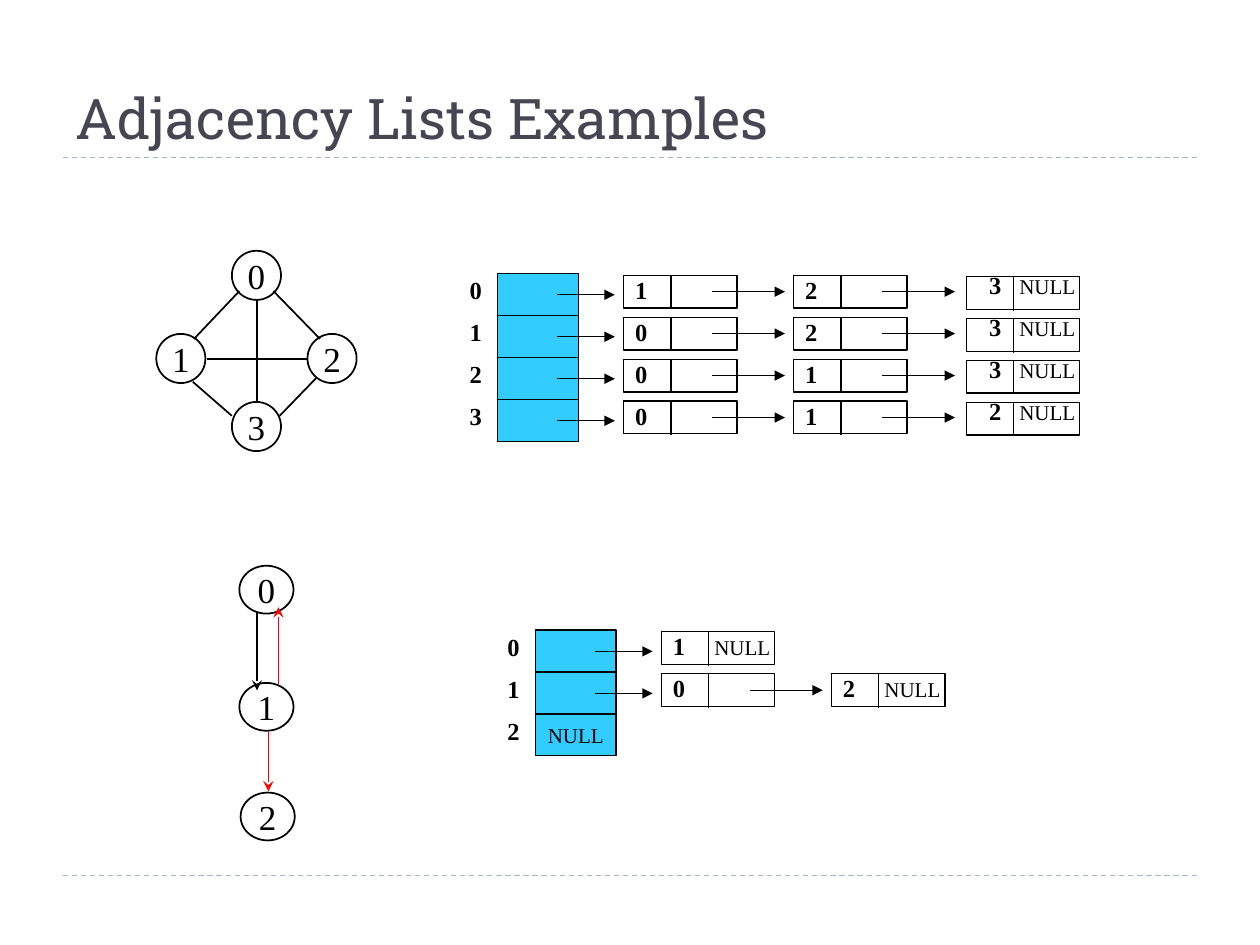
from pptx import Presentation
from pptx import util as u
from pptx.dml.color import RGBColor
from pptx.enum import dml, shapes, text
from pptx.oxml import ns, xmlchemy as xc

COLS, ROWS = 100, 75
STEP = 3.33
FACE = "Times New Roman"
BLACK, RED, SKY, WHITE = "000000", "FF0000", "33CCFF", "FFFFFF"


def grid(*spans):
    """Turn counts of grid columns into lengths."""
    return [u.Inches(10 / COLS * n) for n in spans]


def tint(code):
    """Turn a hex string into a colour."""
    return RGBColor.from_string(code)


def node(tag, **attrs):
    """Make one drawing element with its attributes."""
    part = xc.OxmlElement(tag)
    for key, val in attrs.items():
        part.set(key, str(val))
    return part


def say(par, words, size, bold=False, face=FACE, hue=BLACK):
    """Add one run to a paragraph."""
    run = par.add_run()
    run.text = words
    run.font.name, run.font.size, run.font.bold = face, u.Pt(size), bold
    run.font.color.rgb = tint(hue)


def frame(item, anchor=text.MSO_ANCHOR.MIDDLE, left=0, low=0, align=text.PP_ALIGN.CENTER):
    """Set up a text frame and return its first paragraph."""
    body = item.text_frame
    body.margin_left, body.margin_bottom = grid(left, low)
    body.margin_right = body.margin_top = 0
    body.word_wrap, body.vertical_anchor = True, anchor
    par = body.paragraphs[0]
    par.alignment = align
    return par


def shape(slide, kind, box, fill=None, width=0.75):
    """Add an outlined preset shape."""
    item = slide.shapes.add_shape(kind, *grid(*box))
    item.shadow.inherit = False
    if fill:
        item.fill.solid()
        item.fill.fore_color.rgb = tint(fill)
    else:
        item.fill.background()
    item.line.color.rgb, item.line.width = tint(BLACK), u.Pt(width)
    return item


def line(slide, ends, hue=BLACK, width=0.75, head=None, dash=False):
    """Add a straight line, with an arrowhead or dashes if asked."""
    item = slide.shapes.add_connector(shapes.MSO_CONNECTOR.STRAIGHT, *grid(*ends))
    item.line.color.rgb, item.line.width = tint(hue), u.Pt(width)
    if dash:
        item.line.dash_style = dml.MSO_LINE.DASH
    if head:
        item.line._get_or_add_ln().append(node("a:tailEnd", type=head))
    item._element.spPr.append(node("a:effectLst"))


def header(slide, box):
    """Place the title and the two dashed rules."""
    left, top, wide, high = box
    title = slide.shapes.title
    title.left, title.top, title.width, title.height = grid(*box)
    par = frame(title, text.MSO_ANCHOR.BOTTOM, 1, 0.5, text.PP_ALIGN.LEFT)
    title.text_frame.auto_size = text.MSO_AUTO_SIZE.NONE
    say(par, "Adjacency Lists Examples", 32, face="Roboto Slab", hue="464653")
    for row in (top + high, ROWS - 5.5):
        line(slide, (left, row, left + wide, row), "9FB8CD", dash=True)


def graph(slide, box, size, spots, edges, head=None):
    """Draw numbered circles and the edges between them."""
    left, top = box
    for num, (col, row) in enumerate(spots):
        disc = shape(slide, shapes.MSO_SHAPE.OVAL, (left + col, top + row, *size), WHITE, 1)
        say(frame(disc), str(num), 20)
    for hue, *ends in edges:
        a, b, c, d = ends
        line(slide, (left + a, top + b, left + c, top + d), hue, 1, head)


def link(slide, box, name, last, pad=0.9, low=0.3):
    """Draw one list node, with its pointer or NULL."""
    left, top = box
    item = shape(slide, shapes.MSO_SHAPE.RECTANGLE, (left, top, 9, 2.6))
    par = frame(item, text.MSO_ANCHOR.BOTTOM, pad, low, text.PP_ALIGN.LEFT)
    if last:
        tabs = node("a:tabLst")
        tabs.append(node("a:tab", pos=grid(4.2 - pad)[0], algn="l"))
        par._p.get_or_add_pPr().append(tabs)
    say(par, name, 14, True)
    line(slide, (left + 3.75, top, left + 3.75, top + 2.7))
    if last:
        say(par, "\tNULL", 12)
    else:
        line(slide, (left + 7, top + 1.3, left + 12.8, top + 1.3), head="triangle")


def lists(slide, box, chains, shift=(0, 0), pads=(0.9, 0.3)):
    """Draw the head cells, their labels and the linked nodes."""
    left, top = box
    for num, chain in enumerate(chains):
        row = top + num * STEP
        cell = shape(slide, shapes.MSO_SHAPE.RECTANGLE, (left, row, 6.4, STEP), SKY)
        mark = slide.shapes.add_textbox(*grid(left - 3, row + 0.1, 2.5, 2.4))
        say(frame(mark), str(num), 14, True)
        if chain:
            line(slide, (left + 4.7, row + 1.7, left + 9.3, row + 1.7), head="triangle")
        else:
            say(frame(cell), "NULL", 12)
        for spot, name in enumerate(chain):
            col, base = left + 10 + spot * 13.5, row + 0.15
            if spot == len(chain) - 1:
                link(slide, (col + shift[0], base + shift[1]), name, True, *pads)
            else:
                link(slide, (col, base), name, False)


def main():
    """Build the slide and save it."""
    deck = Presentation()
    deck.slide_width, deck.slide_height = grid(COLS, ROWS)
    slide = deck.slides.add_slide(deck.slide_layouts[5])
    header(slide, (5, 1.7, 90, 10.8))
    graph(slide, (12.4, 19.9), (3.9, 3.9), [(6, 0), (0, 6.6), (12, 6.6), (6, 12)], [
        (BLACK, 8, 3.9, 8, 11.9), (BLACK, 4, 8.6, 12, 8.6),
        (BLACK, 6.6, 3.2, 3, 7), (BLACK, 9.3, 3.2, 13, 7),
        (BLACK, 2.9, 10.4, 6, 13.1), (BLACK, 12.7, 10.1, 9.8, 13.1)])
    graph(slide, (19, 44.9), (4.3, 3.8), [(0, 0), (0, 9.3), (0.1, 18)], [
        (RED, 2.3, 13.2, 2.3, 17.9), (RED, 3.1, 9.4, 3.1, 3.3),
        (BLACK, 1.4, 3.6, 1.4, 9.9)], "stealth")
    lists(slide, (39.5, 21.7), ["123", "023", "013", "012"], (0.2, 0.1), (1.8, 0.8))
    lists(slide, (42.5, 50), ["1", "02", ""])
    deck.save("out.pptx")


if __name__ == "__main__":
    main()
